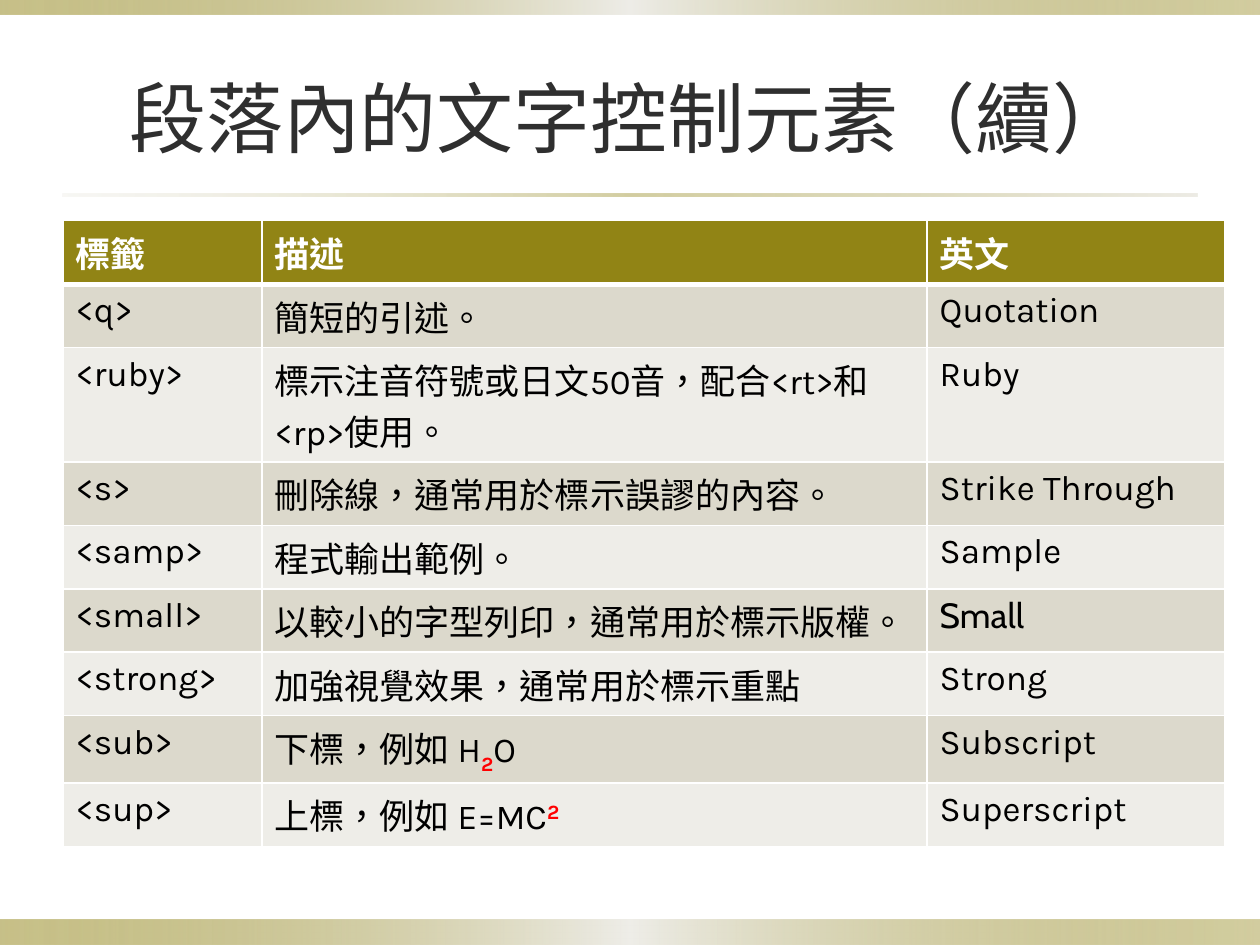
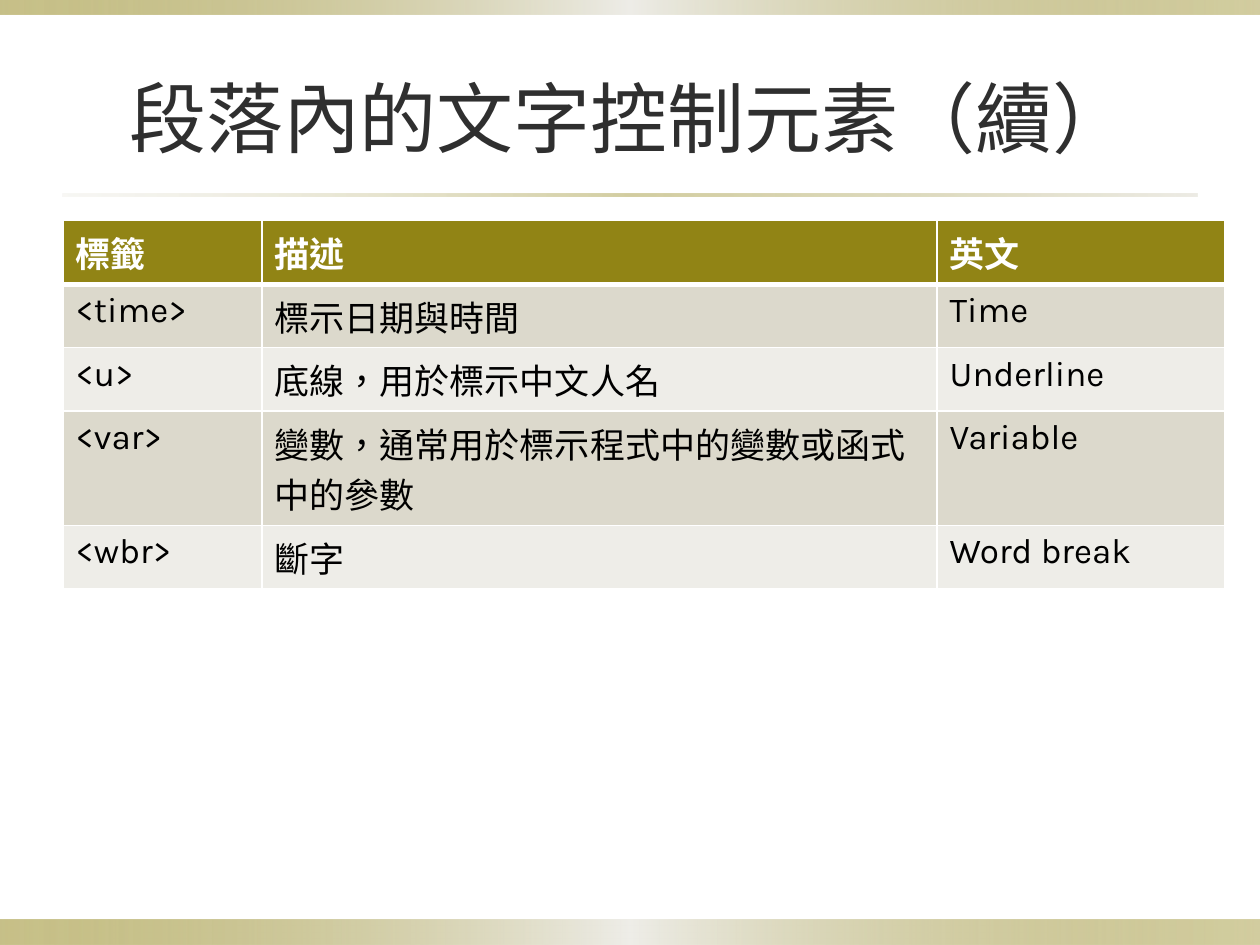
from lxml.etree import SubElement
from pptx import Presentation
from pptx.dml.color import RGBColor
from pptx.enum.shapes import MSO_SHAPE
from pptx.enum.text import MSO_ANCHOR, PP_ALIGN
from pptx.oxml.ns import qn
from pptx.util import Cm, Pt

# Shared colours and fonts
OLIVE, SAND, PALE = "918415", "DCD9CC", "EEEDE8"
WHITE, BLACK, RED, TITLE_GREY = "FFFFFF", "000000", "FF0000", "2F2F2F"
HEADING_FONT, BODY_FONT = "Cabin", "Karla"

# Gradient stops: position in percent, colour, opacity in percent
BAND_STOPS = [(0, OLIVE, 50), (50, PALE, 100), (100, OLIVE, 40)]
RULE_STOPS = [(0, SAND, 20), (50, OLIVE, 40), (100, SAND, 50)]
BANDS = [  # left, top, width, height, stops
    (0, 18.54, 25.4, 0.51, BAND_STOPS),
    (0, 0, 25.4, 0.3, BAND_STOPS),
    (1.27, 3.91, 22.86, 0.05, RULE_STOPS),
]

# Slide content: a cell is a string, or a list of (text, baseline in percent)
TITLE = "段落內的文字控制元素（續）"
HEADER = ("標籤", "描述", "英文")
TABLES = [
    ((4.01, 13.41, 5.99), [
        ("<q>", "簡短的引述。", "Quotation"),
        ("<ruby>", "標示注音符號或日文50音，配合<rt>和<rp>使用。", "Ruby"),
        ("<s>", "刪除線，通常用於標示誤謬的內容。", "Strike Through"),
        ("<samp>", "程式輸出範例。", "Sample"),
        ("<small>", "以較小的字型列印，通常用於標示版權。", "Small"),
        ("<strong>", "加強視覺效果，通常用於標示重點", "Strong"),
        ("<sub>", [("下標，例如 H", 0), ("2", -25), ("O", 0)], "Subscript"),
        ("<sup>", [("上標，例如 E=MC", 0), ("2", 30)], "Superscript"),
    ]),
    ((4.01, 13.61, 5.79), [
        ("<time>", "標示日期與時間", "Time"),
        ("<u>", "底線，用於標示中文人名", "Underline"),
        ("<var>", "變數，通常用於標示程式中的變數或函式中的參數", "Variable"),
        ("<wbr>", "斷字", "Word break"),
    ]),
]


def color(hex_value):
    return RGBColor.from_string(hex_value)


def add_run(paragraph, text, size, font_name, hex_value, bold=False):
    run = paragraph.add_run()
    run.text = text
    run.font.size = Pt(size)
    run.font.name = font_name
    run.font.bold = bold
    run.font.color.rgb = color(hex_value)
    properties = run.font._element
    properties.set("lang", "zh-TW")
    return properties


presentation = Presentation()
presentation.slide_width, presentation.slide_height = Cm(25.4), Cm(19.05)
layout = presentation.slide_layouts[5]
slides = [presentation.slides.add_slide(layout) for _ in TABLES]

# Bands and title rule, placed once on the layout
for left, top, width, height, stops in BANDS:
    shape = slides[0].shapes.add_shape(
        MSO_SHAPE.RECTANGLE, Cm(left), Cm(top), Cm(width), Cm(height))
    shape.shadow.inherit = False
    shape.line.fill.background()
    shape.fill.gradient()
    shape.fill.gradient_angle = 0
    stop_list = next(shape._element.iter(qn("a:gsLst")))
    for old_stop in list(stop_list):
        stop_list.remove(old_stop)
    for position, hex_value, opacity in stops:
        stop = SubElement(stop_list, qn("a:gs"), pos=str(position * 1000))
        stop_color = SubElement(stop, qn("a:srgbClr"), val=hex_value)
        SubElement(stop_color, qn("a:alpha"), val=str(opacity * 1000))
    layout.shapes._spTree.append(shape._element)

for slide, (column_widths, rows) in zip(slides, TABLES):
    # Title
    title = slide.shapes.title
    title.left, title.top = Cm(1.27), Cm(0.76)
    title.width, title.height = Cm(22.86), Cm(3.18)
    title.text_frame.vertical_anchor = MSO_ANCHOR.MIDDLE
    paragraph = title.text_frame.paragraphs[0]
    paragraph.alignment = PP_ALIGN.CENTER
    add_run(paragraph, TITLE, 44, HEADING_FONT, TITLE_GREY)

    # Table of tags
    table_rows = [HEADER] + rows
    row_height = Cm(1.04)
    table = slide.shapes.add_table(
        len(table_rows), len(HEADER), Cm(1.27), Cm(4.45),
        Cm(sum(column_widths)), row_height * len(table_rows)).table
    for column, width in zip(table.columns, column_widths):
        column.width = Cm(width)

    for row_index, row in enumerate(table_rows):
        table.rows[row_index].height = row_height
        is_header = row_index == 0
        row_fill = OLIVE if is_header else (PALE, SAND)[row_index % 2]
        for column_index, content in enumerate(row):
            cell = table.cell(row_index, column_index)

            # White borders, thicker below the header
            cell_properties = cell._tc.get_or_add_tcPr()
            top_width = 3 if row_index == 1 else 1
            bottom_width = 3 if is_header else 1
            for side, points in zip("LRTB", (1, 1, top_width, bottom_width)):
                border = SubElement(cell_properties, qn(f"a:ln{side}"), w=str(Pt(points)))
                border_fill = SubElement(border, qn("a:solidFill"))
                SubElement(border_fill, qn("a:srgbClr"), val=WHITE)
            cell.fill.solid()
            cell.fill.fore_color.rgb = color(row_fill)

            # Cell text, with red raised or lowered digits
            segments = [(content, 0)] if isinstance(content, str) else content
            font_name = HEADING_FONT if is_header or content == "Small" else BODY_FONT
            for text, baseline in segments:
                text_color = WHITE if is_header else RED if baseline else BLACK
                properties = add_run(cell.text_frame.paragraphs[0], text, 20, font_name,
                                     text_color, is_header or baseline != 0)
                if baseline:
                    properties.set("baseline", str(baseline * 1000))

presentation.save("out.pptx")
